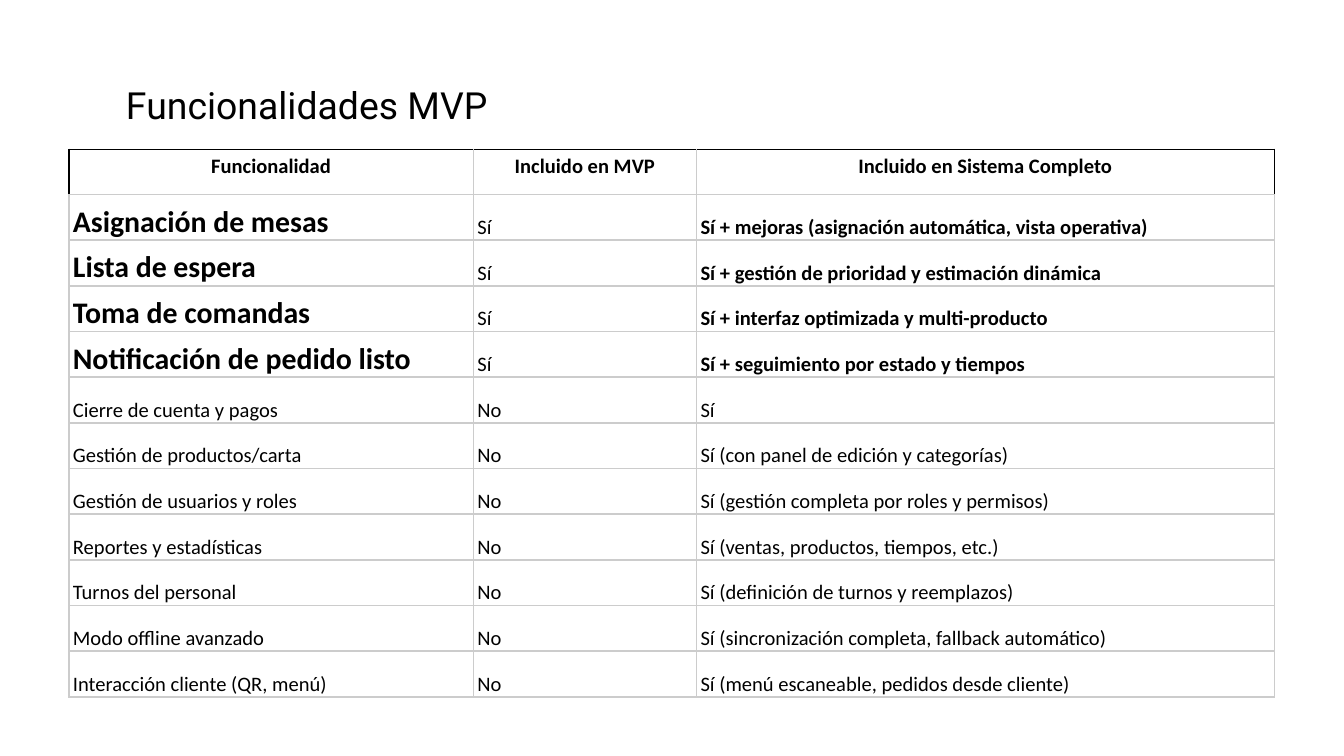
from pptx import Presentation
from pptx.dml.color import RGBColor
from pptx.enum.text import MSO_ANCHOR, MSO_AUTO_SIZE, PP_ALIGN
from pptx.oxml import parse_xml
from pptx.oxml.ns import nsdecls
from pptx.util import Pt

PX = 2286
BLACK = RGBColor(0x00, 0x00, 0x00)
GRAY = RGBColor(0xCC, 0xCC, 0xCC)

HEAD = ("Funcionalidad", "Incluido en MVP", "Incluido en Sistema Completo")
CORE = [
    ("Asignación de mesas", "Sí", "Sí + mejoras (asignación automática, vista operativa)"),
    ("Lista de espera", "Sí", "Sí + gestión de prioridad y estimación dinámica"),
    ("Toma de comandas", "Sí", "Sí + interfaz optimizada y multi-producto"),
    ("Notificación de pedido listo", "Sí", "Sí + seguimiento por estado y tiempos"),
]
LATER = [
    ("Cierre de cuenta y pagos", "No", "Sí"),
    ("Gestión de productos/carta", "No", "Sí (con panel de edición y categorías)"),
    ("Gestión de usuarios y roles", "No", "Sí (gestión completa por roles y permisos)"),
    ("Reportes y estadísticas", "No", "Sí (ventas, productos, tiempos, etc.)"),
    ("Turnos del personal", "No", "Sí (definición de turnos y reemplazos)"),
    ("Modo offline avanzado", "No", "Sí (sincronización completa, fallback automático)"),
    ("Interacción cliente (QR, menú)", "No", "Sí (menú escaneable, pedidos desde cliente)"),
]
ROWS = [HEAD] + CORE + LATER
WIDTHS = (1204, 664, 1720)
HEIGHTS = [134] + [136] * (len(ROWS) - 1)


def apply(item, form):
    for key, value in form.items():
        setattr(item, key, value)


def border(cell, sides):
    props = cell._tc.get_or_add_tcPr()
    for spot, (side, color) in enumerate(sides.items()):
        props.insert(spot, parse_xml(
            f'<a:ln{side} {nsdecls("a")} w="{Pt(1)}"><a:solidFill>'
            f'<a:srgbClr val="{color}"/></a:solidFill></a:ln{side}>'))


deck = Presentation()
apply(deck, {"slide_width": 4000 * PX, "slide_height": 2250 * PX})
slide = deck.slides.add_slide(deck.slide_layouts[5])

title = slide.shapes.title
apply(title, {"left": 335 * PX, "top": 204 * PX, "width": 1392 * PX, "height": 380 * PX})
frame = title.text_frame
frame.text = "Funcionalidades MVP"
apply(frame, {
    "word_wrap": True, "auto_size": MSO_AUTO_SIZE.NONE,
    "vertical_anchor": MSO_ANCHOR.TOP,
    "margin_left": 40 * PX, "margin_right": 40 * PX,
    "margin_top": 40 * PX, "margin_bottom": 40 * PX,
})
line = frame.paragraphs[0]
line.alignment = PP_ALIGN.LEFT
apply(line.runs[0].font, {"name": "Roboto", "size": Pt(20)})
line.runs[0].font.color.rgb = BLACK

table = slide.shapes.add_table(
    len(ROWS), len(WIDTHS), 205 * PX, 445 * PX,
    sum(WIDTHS) * PX, sum(HEIGHTS) * PX).table
apply(table, {"first_row": False, "horz_banding": False})
for col, width in zip(table.columns, WIDTHS):
    col.width = width * PX
for row, height in zip(table.rows, HEIGHTS):
    row.height = height * PX

last = len(WIDTHS) - 1
for r, texts in enumerate(ROWS):
    head = r == 0
    core = 0 < r <= len(CORE)
    for c, text in enumerate(texts):
        cell = table.cell(r, c)
        cell.text = text
        apply(cell, {
            "margin_left": 12 * PX, "margin_right": 12 * PX,
            "margin_top": 0, "margin_bottom": 0,
            "vertical_anchor": MSO_ANCHOR.TOP if head else MSO_ANCHOR.BOTTOM,
        })
        cell.fill.background()
        border(cell, {
            "L": BLACK if head and c == 0 else GRAY,
            "R": BLACK if head and c == last else GRAY,
            "T": BLACK if head else GRAY,
            "B": GRAY,
        })
        line = cell.text_frame.paragraphs[0]
        apply(line, {
            "alignment": PP_ALIGN.CENTER if head else PP_ALIGN.LEFT,
            "line_spacing": 1.15,
        })
        font = line.runs[0].font
        apply(font, {
            "name": "Calibri",
            "size": Pt(16 if core and c == 0 else 11),
            "bold": head or (core and c != 1),
        })
        font.color.rgb = BLACK

deck.save("out.pptx")
